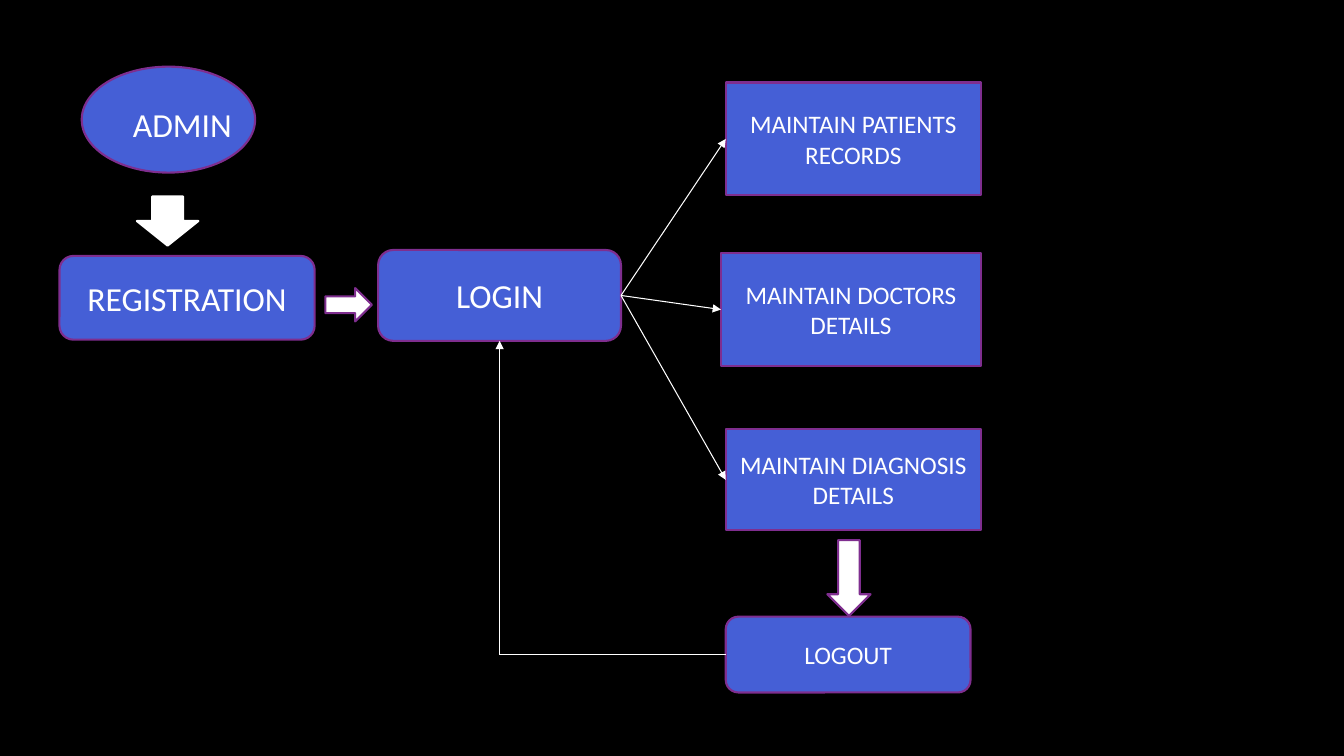
"""Build the admin flow slide of a hospital records system."""
from lxml import etree
from pptx import Presentation
from pptx.dml.color import RGBColor
from pptx.enum.shapes import MSO_CONNECTOR, MSO_SHAPE
from pptx.enum.text import MSO_ANCHOR, MSO_AUTO_SIZE, PP_ALIGN
from pptx.oxml.ns import qn
from pptx.util import Cm, Pt

OVAL, BOX, ROUNDED = MSO_SHAPE.OVAL, MSO_SHAPE.RECTANGLE, MSO_SHAPE.ROUNDED_RECTANGLE
DOWN, RIGHT = MSO_SHAPE.DOWN_ARROW, MSO_SHAPE.RIGHT_ARROW
STRAIGHT = MSO_CONNECTOR.STRAIGHT
LEFT_ALIGN, CENTER = PP_ALIGN.LEFT, PP_ALIGN.CENTER
TOP, MIDDLE = MSO_ANCHOR.TOP, MSO_ANCHOR.MIDDLE
GROW = MSO_AUTO_SIZE.SHAPE_TO_FIT_TEXT
BLUE, PURPLE, WHITE, BLACK = "455FD6", "7F2E8F", "FFFFFF", "000000"
LEFT_SITE, BOTTOM_SITE, RIGHT_SITE = 1, 2, 3


def paint(fill, color):
    fill.solid()
    fill.fore_color.rgb = RGBColor.from_string(color)


def write(frame, text, size=18, align=CENTER, anchor=MIDDLE):
    frame.word_wrap = True
    frame.vertical_anchor = anchor
    paragraph = frame.paragraphs[0]
    paragraph.alignment = align
    run = paragraph.add_run()
    run.text = text
    run.font.name = "Calibri"
    run.font.size = Pt(size)
    paint(run.font.fill, WHITE)


prs = Presentation()
prs.slide_width, prs.slide_height = Cm(33.87), Cm(19.05)
slide = prs.slides.add_slide(prs.slide_layouts[6])
paint(slide.background.fill, BLACK)

steps = [
    ("", OVAL, 18, BLUE, PURPLE, (2.06, 1.68, 4.37, 2.67)),
    ("REGISTRATION", ROUNDED, 24, BLUE, PURPLE, (1.5, 6.45, 6.43, 2.11)),
    ("LOGIN", ROUNDED, 24, BLUE, PURPLE, (9.53, 6.3, 6.12, 2.29)),
    ("MAINTAIN PATIENTS RECORDS", BOX, 18, BLUE, PURPLE, (18.29, 2.08, 6.43, 2.84)),
    ("MAINTAIN DOCTORS DETAILS", BOX, 18, BLUE, PURPLE, (18.17, 6.38, 6.55, 2.84)),
    ("MAINTAIN DIAGNOSIS DETAILS", BOX, 18, BLUE, PURPLE, (18.29, 10.82, 6.43, 2.54)),
    ("LOGOUT", ROUNDED, 18, BLUE, PURPLE, (18.29, 15.54, 6.17, 1.91)),
    ("", DOWN, 18, WHITE, WHITE, (3.45, 4.95, 1.55, 1.24)),
    ("", RIGHT, 18, WHITE, PURPLE, (8.2, 7.26, 1.17, 0.84)),
    ("", DOWN, 18, WHITE, PURPLE, (20.85, 13.61, 1.09, 1.91)),
]
flow = []
for label, outline, size, fill_color, edge_color, bounds in steps:
    step = slide.shapes.add_shape(outline, *map(Cm, bounds))
    step.shadow.inherit = False
    paint(step.fill, fill_color)
    paint(step.line.fill, edge_color)
    step.line.width = Pt(1.5)
    if label:
        write(step.text_frame, label, size=size)
    flow.append(step)
admin, registration, login, patients, doctors, diagnosis, logout = flow[:7]

admin_label = slide.shapes.add_textbox(Cm(3.1), Cm(2.49), Cm(3.15), Cm(1.27))
write(admin_label.text_frame, "ADMIN", size=24, align=LEFT_ALIGN, anchor=TOP)
admin_label.text_frame.auto_size = GROW

corner = (login.left + login.width // 2, logout.top + logout.height // 2)
links = [(login, RIGHT_SITE, task, LEFT_SITE) for task in (patients, doctors, diagnosis)]
links += [(logout, LEFT_SITE, None, None), (None, None, login, BOTTOM_SITE)]
for source, source_site, target, target_site in links:
    link = slide.shapes.add_connector(STRAIGHT, *corner, *corner)
    if source:
        link.begin_connect(source, source_site)
    if target:
        link.end_connect(target, target_site)
    paint(link.line.fill, WHITE)
    link.line.width = Pt(0.75)
    if target:
        etree.SubElement(link.line._get_or_add_ln(), qn("a:tailEnd"), type="triangle")
    etree.SubElement(link._element.spPr, qn("a:effectLst"))

prs.save("out.pptx")
